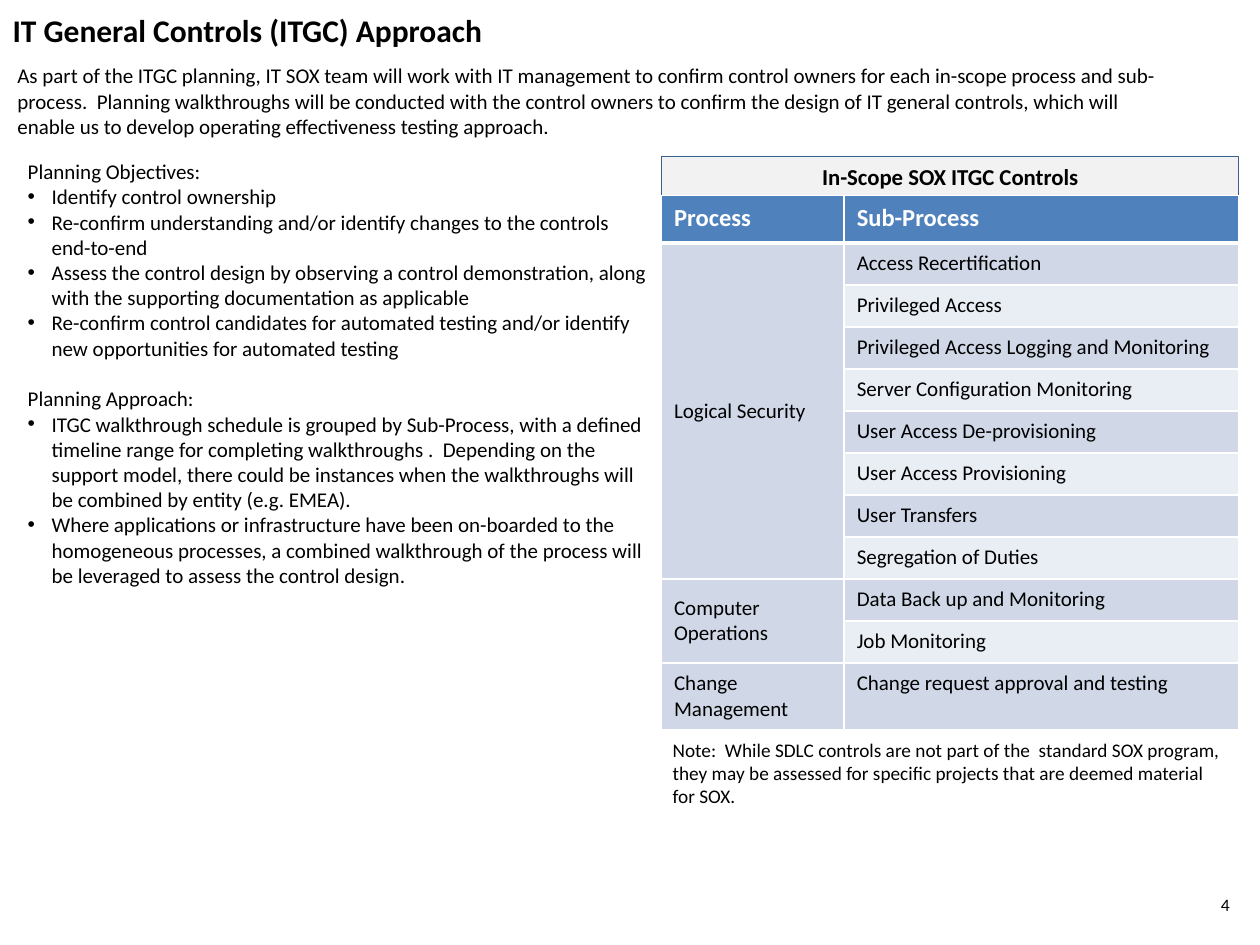
from lxml.etree import SubElement
from pptx import Presentation
from pptx.dml.color import RGBColor
from pptx.enum.shapes import MSO_SHAPE
from pptx.enum.text import MSO_ANCHOR, MSO_AUTO_SIZE, PP_ALIGN
from pptx.oxml.ns import qn
from pptx.util import Inches, Pt

BLACK = RGBColor(0x00, 0x00, 0x00)
WHITE = RGBColor(0xFF, 0xFF, 0xFF)
BLUE = RGBColor(0x4F, 0x81, 0xBD)
NAVY = RGBColor(0x3A, 0x5F, 0x8C)
GREY = RGBColor(0xF2, 0xF2, 0xF2)
BAND_DARK = RGBColor(0xD0, 0xD8, 0xE8)
BAND_LIGHT = RGBColor(0xE9, 0xED, 0xF4)

TITLE = "IT General Controls (ITGC) Approach"
INTRODUCTION = (
    "As part of the ITGC planning, IT SOX team will work with IT management to confirm "
    "control owners for each in-scope process and sub-process.  Planning walkthroughs will "
    "be conducted with the control owners to confirm the design of IT general controls, "
    "which will enable us to develop operating effectiveness testing approach."
)
PLANNING = {
    "Planning Objectives:": [
        "Identify control ownership",
        "Re-confirm understanding and/or identify changes to the controls end-to-end",
        "Assess the control design by observing a control demonstration, along with the "
        "supporting documentation as applicable",
        "Re-confirm control candidates for automated testing and/or identify new "
        "opportunities for automated testing",
    ],
    "Planning Approach:": [
        "ITGC walkthrough schedule is grouped by Sub-Process, with a defined timeline range "
        "for completing walkthroughs .  Depending on the support model, there could be "
        "instances when the walkthroughs will be combined by entity (e.g. EMEA).",
        "Where applications or infrastructure have been on-boarded to the homogeneous "
        "processes, a combined walkthrough of the process will be leveraged to assess the "
        "control design.",
    ],
}
CONTROLS = {
    "Logical Security": [
        "Access Recertification", "Privileged Access",
        "Privileged Access Logging and Monitoring", "Server Configuration Monitoring",
        "User Access De-provisioning", "User Access Provisioning", "User Transfers",
        "Segregation of Duties",
    ],
    "Computer Operations": ["Data Back up and Monitoring", "Job Monitoring"],
    "Change Management": ["Change request approval and testing"],
}
NOTE = (
    "Note:  While SDLC controls are not part of the  standard SOX program, they may be "
    "assessed for specific projects that are deemed material for SOX."
)


def grid(units):
    """Turn grid units, ten to the inch, into a length."""
    return Inches(units / 10)


class SlideBuilder:
    """Holds the style and the current slide of 100 columns by 75 rows."""

    font_name = "Calibri"
    body_size = 12

    def __init__(self, presentation):
        """Add a slide with a title and a body placeholder."""
        self.slide = presentation.slides.add_slide(presentation.slide_layouts[1])

    def style(self, paragraph, size=body_size, bold=False, color=BLACK):
        """Set the font of a whole paragraph."""
        font = paragraph.font
        font.name, font.size, font.bold = self.font_name, Pt(size), bold
        font.color.rgb = color

    def place(self, shape, column, row, columns, rows):
        """Move a shape to its place on the grid."""
        shape.left, shape.top = grid(column), grid(row)
        shape.width, shape.height = grid(columns), grid(rows)
        frame = shape.text_frame
        frame.auto_size = MSO_AUTO_SIZE.NONE
        frame.vertical_anchor = MSO_ANCHOR.TOP
        return frame

    def title(self, text, *area):
        """Fill the title placeholder."""
        frame = self.place(self.slide.shapes.title, *area)
        frame.text = text
        paragraph = frame.paragraphs[0]
        paragraph.alignment = PP_ALIGN.LEFT
        self.style(paragraph, 18, bold=True)

    def sections(self, sections, *area):
        """Fill the body placeholder with headings and bulleted lists."""
        frame = self.place(self.slide.placeholders[1], *area)
        entries = [(text, index > 0) for heading, items in sections.items()
                   for index, text in enumerate([heading, *items])]
        frame.text = "\n".join(text for text, _ in entries)
        for index, (paragraph, (_, bulleted)) in enumerate(zip(frame.paragraphs, entries)):
            new_section = index > 0 and not bulleted
            paragraph.space_before = Pt(14.6 if new_section else 0)
            self.style(paragraph)
            self.bullet(paragraph, bulleted)

    def bullet(self, paragraph, bulleted):
        """Give a paragraph a hanging bullet, or none."""
        properties = paragraph._p.get_or_add_pPr()
        indent = Inches(0.19) if bulleted else 0
        properties.set("marL", str(indent))
        properties.set("indent", str(-indent))
        if bulleted:
            SubElement(properties, qn("a:buChar"), char="•")
        else:
            SubElement(properties, qn("a:buNone"))

    def text(self, text, *area, size=body_size):
        """Add a wrapped text box."""
        frame = self.place(self.slide.shapes.add_textbox(0, 0, 0, 0), *area)
        frame.word_wrap = True
        frame.text = text
        self.style(frame.paragraphs[0], size)

    def banner(self, text, *area):
        """Add an outlined rectangle with a centred heading."""
        shape = self.slide.shapes.add_shape(MSO_SHAPE.RECTANGLE, 0, 0, 0, 0)
        frame = self.place(shape, *area)
        frame.vertical_anchor = MSO_ANCHOR.MIDDLE
        shape.shadow.inherit = False
        shape.fill.solid()
        shape.fill.fore_color.rgb = GREY
        shape.line.color.rgb = NAVY
        shape.line.width = Pt(0.75)
        frame.text = text
        frame.paragraphs[0].alignment = PP_ALIGN.CENTER
        self.style(frame.paragraphs[0], 13, bold=True)

    def cell(self, cell, text, fill, top=1, bottom=1, middle=False, **font):
        """Fill one table cell, with white borders of the given widths."""
        properties = cell._tc.get_or_add_tcPr()
        for side, width in {"L": 1, "R": 1, "T": top, "B": bottom}.items():
            line = SubElement(properties, qn(f"a:ln{side}"), w=str(Pt(width)))
            solid = SubElement(line, qn("a:solidFill"))
            SubElement(solid, qn("a:srgbClr"), val=str(WHITE))
        cell.fill.solid()
        cell.fill.fore_color.rgb = fill
        cell.margin_top = cell.margin_bottom = Inches(0.06)
        cell.vertical_anchor = MSO_ANCHOR.MIDDLE if middle else MSO_ANCHOR.TOP
        cell.text = text
        self.style(cell.text_frame.paragraphs[0], **font)

    def table(self, headings, groups, column, row, widths, heights):
        """Add a table whose first column spans the rows of each group."""
        table = self.slide.shapes.add_table(
            len(heights), len(widths), grid(column), grid(row),
            grid(sum(widths)), grid(sum(heights))).table
        for table_column, width in zip(table.columns, widths):
            table_column.width = grid(width)
        for table_row, height in zip(table.rows, heights):
            table_row.height = grid(height)
        for index, heading in enumerate(headings):
            self.cell(table.cell(0, index), heading, BLUE, bottom=3,
                      size=14, bold=True, color=WHITE)
        first = 1
        for process, sub_processes in groups.items():
            last = first + len(sub_processes) - 1
            for index, sub_process in enumerate(sub_processes, first):
                top = 3 if index == 1 else 1
                band = BAND_DARK if index % 2 else BAND_LIGHT
                self.cell(table.cell(index, 0), process if index == first else "",
                          BAND_DARK, top, middle=True)
                self.cell(table.cell(index, 1), sub_process, band, top)
            if last > first:
                table.cell(first, 0).merge(table.cell(last, 0))
            first = last + 1


def main():
    """Build and save the slide."""
    presentation = Presentation()
    presentation.slide_width, presentation.slide_height = grid(100), grid(75)
    builder = SlideBuilder(presentation)
    builder.title(TITLE, 0, 0.4, 95.7, 4)
    builder.sections(PLANNING, 1.2, 12.1, 51.2, 35.3)
    builder.banner("In-Scope SOX ITGC Controls", 52.5, 12.4, 45.8, 3.2)
    builder.table(["Process", "Sub-Process"], CONTROLS, 52.5, 15.5,
                  widths=[14.5, 31.3], heights=[3.8] + [10 / 3] * 10 + [5.3])
    builder.text(INTRODUCTION, 0.4, 4.5, 94.4, 7.1)
    builder.text("4", 95.9, 70.5, 2.8, 2.7, size=10)
    builder.text(NOTE, 52.4, 58.1, 45.7, 6.6, size=11)
    presentation.save("out.pptx")


main()
